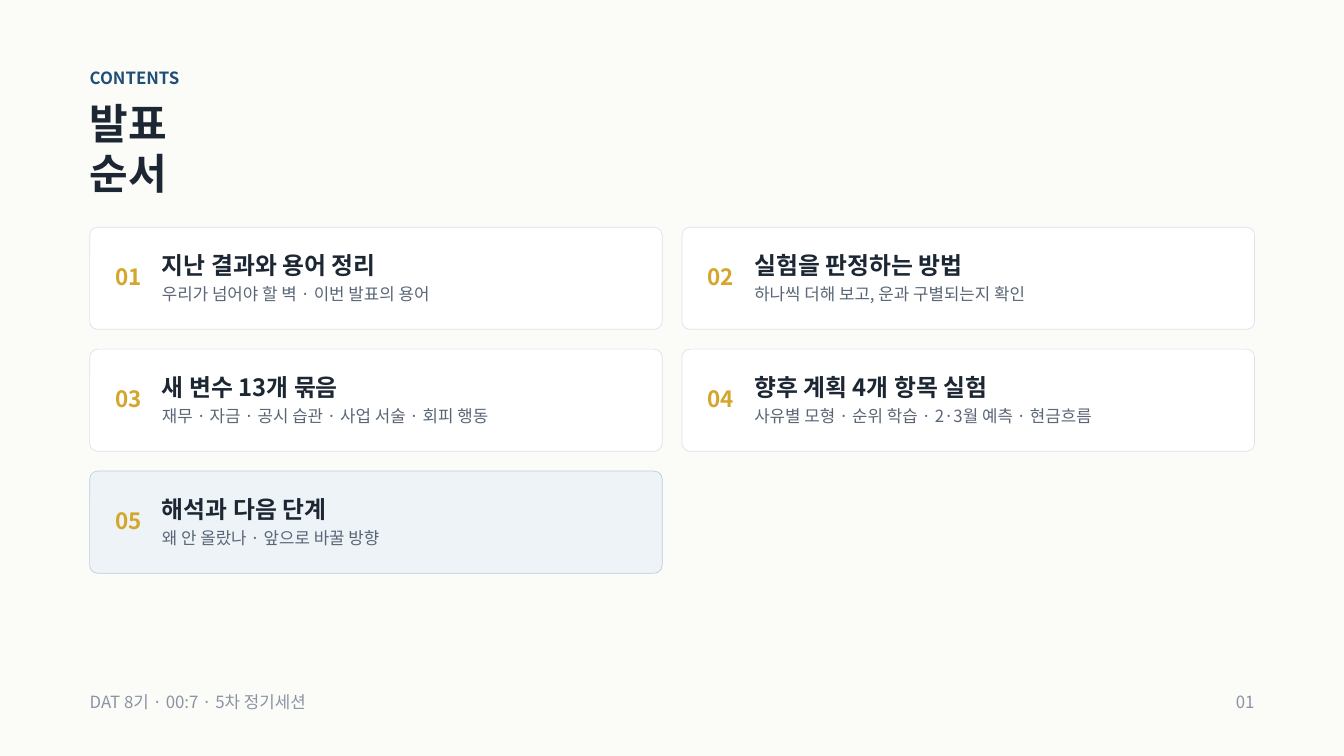
from dataclasses import dataclass

from pptx import Presentation
from pptx import util as u
from pptx.dml.color import RGBColor
from pptx.enum import shapes, text
from pptx.oxml.ns import qn
from lxml import etree

FONT = "Noto Sans CJK KR"
PAPER = RGBColor(0xFB, 0xFB, 0xF8)
WHITE = RGBColor(0xFF, 0xFF, 0xFF)
PALE_BLUE = RGBColor(0xEE, 0xF3, 0xF8)
BORDER = RGBColor(0xDC, 0xE3, 0xEA)
BLUE_BORDER = RGBColor(0xBC, 0xCC, 0xDC)
NAVY = RGBColor(0x1F, 0x4E, 0x79)
INK = RGBColor(0x1C, 0x27, 0x33)
SLATE = RGBColor(0x5A, 0x66, 0x76)
GREY = RGBColor(0x8A, 0x94, 0xA3)
GOLD = RGBColor(0xD4, 0xA7, 0x2C)

# Card grid, in centimetres
MARGIN, GRID_TOP = 3.39, 8.59
CARD_W, CARD_H, GAP = 21.64, 3.86, 0.75
CORNER = 0.3
COLUMNS = 2
FOOTER_TOP = 26.04


@dataclass(frozen=True)
class Style:
    size: float
    leading: float
    color: RGBColor
    bold: bool = False


@dataclass(frozen=True)
class Section:
    heading: str
    heading_w: float
    summary: str
    summary_w: float
    highlighted: bool = False


EYEBROW = Style(18, 25.2, NAVY, True)
TITLE = Style(45, 54, INK, True)
NUMBER = Style(24, 33.6, GOLD, True)
HEADING = Style(25.5, 30.6, INK, True)
SUMMARY = Style(18, 25.2, SLATE)
FOOTER = Style(18, 25.2, GREY)

SECTIONS = [
    Section("지난 결과와 용어 정리", 10.41, "우리가 넘어야 할 벽 · 이번 발표의 용어", 12.14),
    Section("실험을 판정하는 방법", 10.54, "하나씩 더해 보고, 운과 구별되는지 확인", 12.29),
    Section("새 변수 13개 묶음", 12.7, "재무 · 자금 · 공시 습관 · 사업 서술 · 회피 행동", 14.81),
    Section("향후 계획 4개 항목 실험", 13.13, "사유별 모형 · 순위 학습 · 2·3월 예측 · 현금흐름", 15.32),
    Section("해석과 다음 단계", 8.46, "왜 안 올랐나 · 앞으로 바꿀 방향", 9.86, True),
]


def add_label(slide, words: str, left: float, top: float, width: float,
              height: float, style: Style, align=text.PP_ALIGN.LEFT) -> None:
    box = slide.shapes.add_textbox(*map(u.Cm, (left, top, width, height)))
    frame = box.text_frame
    frame_format = {"margin_left": 0, "margin_right": 0, "margin_top": 0,
                    "margin_bottom": 0, "word_wrap": True,
                    "auto_size": text.MSO_AUTO_SIZE.SHAPE_TO_FIT_TEXT}
    for key, value in frame_format.items():
        setattr(frame, key, value)

    paragraph = frame.paragraphs[0]
    paragraph.alignment = align
    paragraph.line_spacing = u.Pt(style.leading)
    run = paragraph.add_run()
    run.text = words
    font_format = {"name": FONT, "size": u.Pt(style.size), "bold": style.bold}
    for key, value in font_format.items():
        setattr(run.font, key, value)
    run.font.color.rgb = style.color
    # Hangul takes the East Asian typeface
    east_asian = etree.SubElement(run._r.get_or_add_rPr(), qn("a:ea"))
    east_asian.set("typeface", FONT)


def add_card(slide, index: int, section: Section) -> None:
    row, column = divmod(index, COLUMNS)
    left = MARGIN + column * (CARD_W + GAP)
    top = GRID_TOP + row * (CARD_H + GAP)

    card = slide.shapes.add_shape(shapes.MSO_SHAPE.ROUNDED_RECTANGLE,
                                  *map(u.Cm, (left, top, CARD_W, CARD_H)))
    card.adjustments[0] = CORNER / CARD_H
    card.shadow.inherit = False
    card.fill.solid()
    card.fill.fore_color.rgb = PALE_BLUE if section.highlighted else WHITE
    card.line.color.rgb = BLUE_BORDER if section.highlighted else BORDER
    card.line.width = u.Pt(0.75)

    add_label(slide, f"{index + 1:02}", left + 0.97, top + 1.18, 1.22, 1.14, NUMBER)
    add_label(slide, section.heading, left + 2.73, top + 0.88,
              section.heading_w, 1.07, HEADING)
    add_label(slide, section.summary, left + 2.73, top + 2.01,
              section.summary_w, 0.86, SUMMARY)


def main() -> None:
    deck = Presentation()
    deck.slide_width, deck.slide_height = u.Cm(50.8), u.Cm(28.58)
    slide = deck.slides.add_slide(deck.slide_layouts[6])
    slide.background.fill.solid()
    slide.background.fill.fore_color.rgb = PAPER

    # Header
    add_label(slide, "CONTENTS", MARGIN, 2.44, 3.81, 0.86, EYEBROW)
    add_label(slide, "발표 순서", MARGIN, 3.68, 5.84, 1.96, TITLE)

    # Agenda cards
    for index, section in enumerate(SECTIONS):
        add_card(slide, index, section)

    # Footer
    add_label(slide, "DAT 8기 · 00:7 · 5차 정기세션", MARGIN, FOOTER_TOP,
              9.8, 0.86, FOOTER)
    add_label(slide, "01", 46.51, FOOTER_TOP, 0.91, 0.86, FOOTER,
              text.PP_ALIGN.RIGHT)

    deck.save("out.pptx")


if __name__ == "__main__":
    main()
